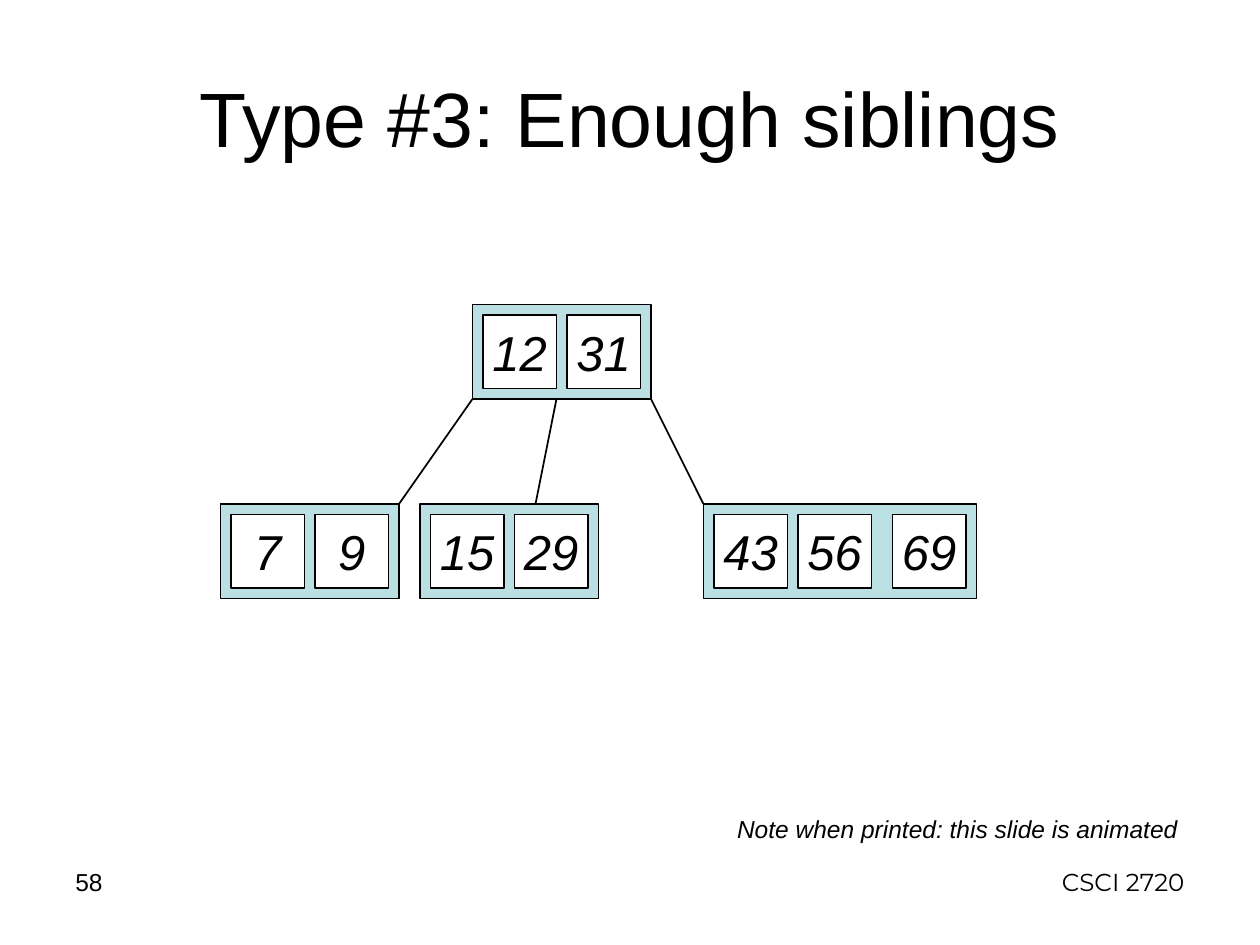
from lxml import etree
from pptx import Presentation, util as u
from pptx.dml.color import RGBColor
from pptx.enum import shapes, text
from pptx.oxml.ns import qn

BLACK = RGBColor(0x00, 0x00, 0x00)
WHITE = RGBColor(0xFF, 0xFF, 0xFF)
PALE_BLUE = RGBColor(0xBB, 0xE0, 0xE3)

LEFT, CENTER, RIGHT = text.PP_ALIGN.LEFT, text.PP_ALIGN.CENTER, text.PP_ALIGN.RIGHT
TOP, MIDDLE = text.MSO_ANCHOR.TOP, text.MSO_ANCHOR.MIDDLE

UNIT = u.Inches(1) // 12
KEY, PAD, NODE_HEIGHT = 7, 1, 9
ROOT_ROW, CHILD_ROW = 29, 48

# column, row, width, keys with their offset inside the node
NODES = [
    (45, ROOT_ROW, 17, [("12", 1), ("31", 9)]),
    (21, CHILD_ROW, 17, [("7", 1), ("9", 9)]),
    (40, CHILD_ROW, 17, [("15", 1), ("29", 9)]),
    (67, CHILD_ROW, 26, [("43", 1), ("56", 9), ("69", 18)]),
]
BRANCHES = [(45, 38), (53, 51), (62, 67)]

LABELS = [
    ("Type #3: Enough siblings", (0.5, 0.3, 9, 1.25), 44, "Arial", CENTER, MIDDLE, False, True),
    ("Note when printed: this slide is animated", (5.75, 6.41, 3.7, 0.34), 14, "Arial", CENTER, MIDDLE, True, False),
    ("58", (0.5, 6.83, 2.33, 0.52), 14, "Arial", LEFT, TOP, False, True),
    ("CSCI 2720", (7.17, 6.83, 2.33, 0.5), 14, "Montserrat", RIGHT, TOP, False, True),
]


def write(holder, words, size, font, align, anchor, italic, wrap):
    frame = holder.text_frame
    frame.text = words
    frame.word_wrap = wrap
    frame.vertical_anchor = anchor
    line = frame.paragraphs[0]
    line.alignment = align
    style = line.runs[0].font
    style.size, style.name, style.italic = u.Pt(size), font, italic
    style.color.rgb = BLACK


def outline(part):
    part.line.color.rgb = BLACK
    part.line.width = u.Pt(1)


def box(slide, column, row, width, height, fill):
    part = slide.shapes.add_shape(
        shapes.MSO_SHAPE.RECTANGLE, *(n * UNIT for n in (column, row, width, height)))
    part.shadow.inherit = False
    part.fill.solid()
    part.fill.fore_color.rgb = fill
    outline(part)
    return part


def draw_node(slide, column, row, width, keys):
    box(slide, column, row, width, NODE_HEIGHT, PALE_BLUE)
    for value, offset in keys:
        key = box(slide, column + offset, row + PAD, KEY, KEY, WHITE)
        write(key, value, 28, "Arial", CENTER, MIDDLE, True, False)


def draw_branch(slide, start, end):
    branch = slide.shapes.add_connector(
        shapes.MSO_CONNECTOR.STRAIGHT,
        start * UNIT, (ROOT_ROW + NODE_HEIGHT) * UNIT, end * UNIT, CHILD_ROW * UNIT)
    outline(branch)
    etree.SubElement(branch._element.spPr, qn("a:effectLst"))


def main():
    deck = Presentation()
    deck.slide_width, deck.slide_height = u.Inches(10), u.Inches(7.5)
    slide = deck.slides.add_slide(deck.slide_layouts[6])
    for words, place, *style in LABELS:
        label = slide.shapes.add_textbox(*map(u.Inches, place))
        write(label, words, *style)
    for node in NODES:
        draw_node(slide, *node)
    for start, end in BRANCHES:
        draw_branch(slide, start, end)
    deck.save("out.pptx")


if __name__ == "__main__":
    main()
